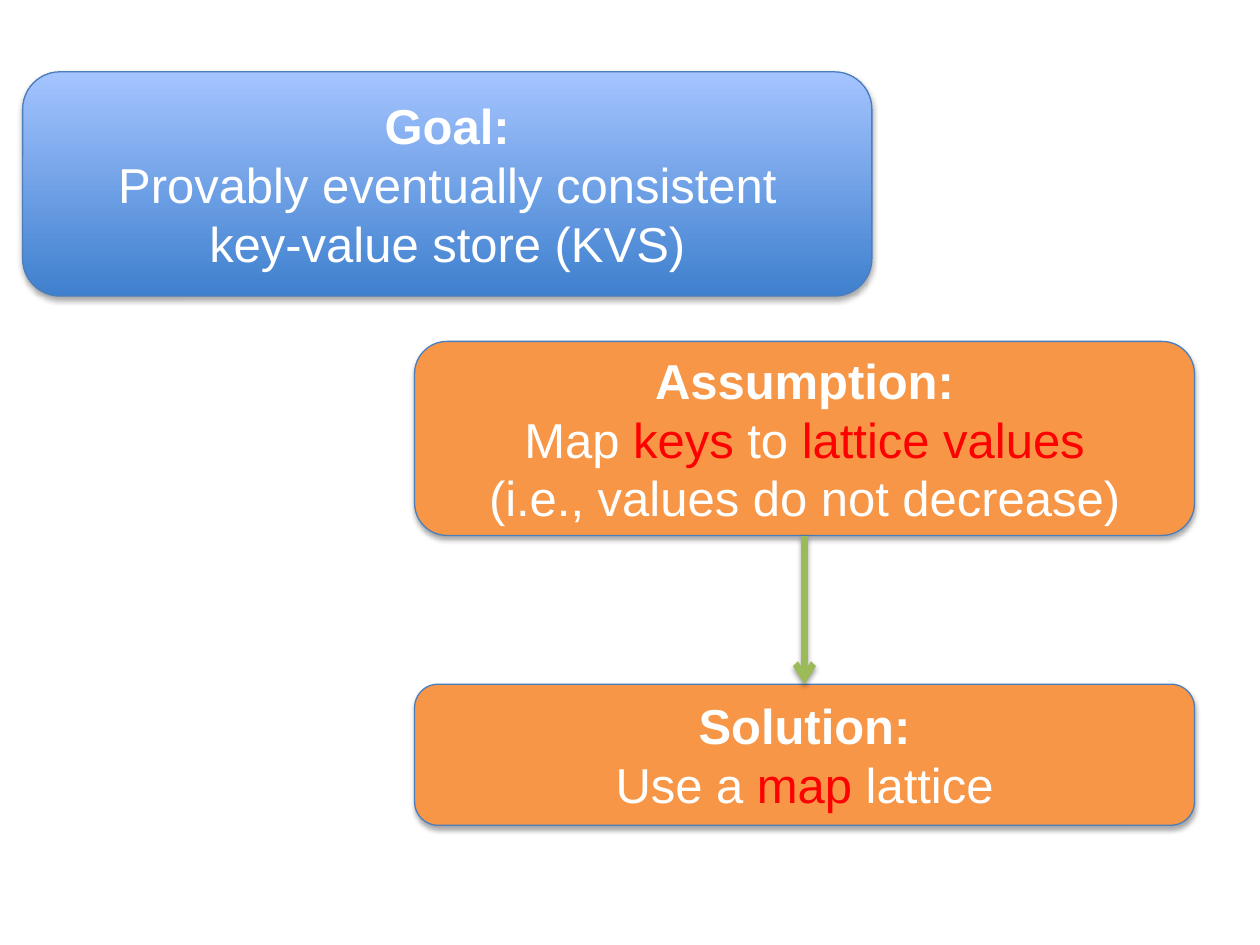
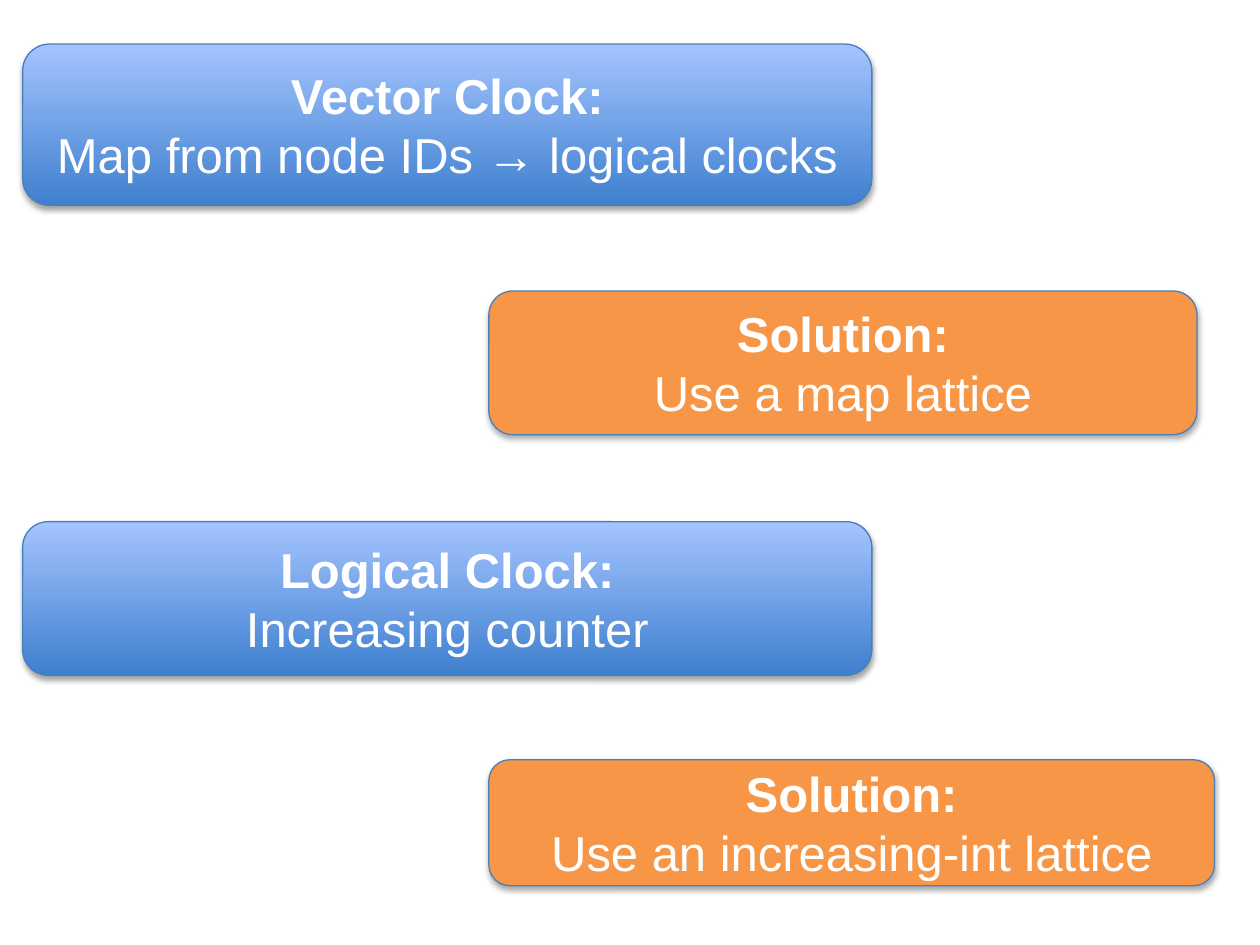
import pptx
import pptx.dml.color
import pptx.enum.shapes
import pptx.enum.text
import pptx.oxml
import pptx.oxml.ns
import pptx.util
from pptx.util import Inches

RGBColor = pptx.dml.color.RGBColor

WHITE = RGBColor(0xFF, 0xFF, 0xFF)
RED = RGBColor(0xFF, 0x00, 0x00)
ORANGE = RGBColor(0xF7, 0x96, 0x46)
GREEN = RGBColor(0x9B, 0xBB, 0x59)
BLUE_DARK = RGBColor(0x3F, 0x80, 0xCE)
BLUE_LIGHT = RGBColor(0xA4, 0xC4, 0xFF)
OUTLINE = RGBColor(0x4B, 0x7E, 0xBC)

TOP_SITE, BOTTOM_SITE = 0, 2


class Deck:
    font_name = "Arial"
    font_size = pptx.util.Pt(28)
    topic_left, topic_width = 0.18, 6.74

    def __init__(self):
        self.prs = pptx.Presentation()
        self.prs.slide_width = Inches(10)
        self.prs.slide_height = Inches(7.5)
        self.slide = None

    def new_slide(self):
        self.slide = self.prs.slides.add_slide(self.prs.slide_layouts[6])

    def add_shadow(self, sp, distance, opacity):
        """Append a soft downward shadow; call after fill and line are set."""
        sp.element.spPr.append(pptx.oxml.parse_xml(
            f'<a:effectLst {pptx.oxml.ns.nsdecls("a")}>'
            f'<a:outerShdw blurRad="{pptx.util.Pt(3.1)}" dist="{pptx.util.Pt(distance)}"'
            ' dir="5400000" rotWithShape="0">'
            f'<a:srgbClr val="000000"><a:alpha val="{opacity * 1000}"/></a:srgbClr>'
            '</a:outerShdw></a:effectLst>'))

    def add_box(self, left, top, width, height, heading, lines):
        """Add a rounded box; a line is a list of strings, every second one red."""
        sp = self.slide.shapes.add_shape(
            pptx.enum.shapes.MSO_SHAPE.ROUNDED_RECTANGLE,
            Inches(left), Inches(top), Inches(width), Inches(height))
        sp.line.color.rgb = OUTLINE
        sp.line.width = pptx.util.Pt(0.75)
        tf = sp.text_frame
        tf.word_wrap = True
        tf.vertical_anchor = pptx.enum.text.MSO_ANCHOR.MIDDLE
        for i, parts in enumerate([[heading], *lines]):
            p = tf.add_paragraph() if i else tf.paragraphs[0]
            p.alignment = pptx.enum.text.PP_ALIGN.CENTER
            p.font.name = self.font_name
            p.font.size = self.font_size
            p.font.bold = i == 0
            for j, text in enumerate(parts):
                r = p.add_run()
                r.text = text
                r.font.color.rgb = RED if j % 2 else WHITE
        return sp

    def topic(self, top, height, heading, *lines):
        sp = self.add_box(self.topic_left, top, self.topic_width, height, heading, lines)
        sp.fill.gradient()
        sp.fill.gradient_angle = 90
        for stop, color in zip(sp.fill.gradient_stops, (BLUE_DARK, BLUE_LIGHT)):
            stop.color.rgb = color
        self.add_shadow(sp, 1.8, 35)

    def answer(self, left, top, width, height, heading, *lines):
        sp = self.add_box(left, top, width, height, heading, lines)
        sp.fill.solid()
        sp.fill.fore_color.rgb = ORANGE
        self.add_shadow(sp, 1.8, 35)
        return sp

    def arrow_down(self, upper, lower):
        line = self.slide.shapes.add_connector(
            pptx.enum.shapes.MSO_CONNECTOR.STRAIGHT, 0, 0, 0, 0)
        line.begin_connect(upper, BOTTOM_SITE)
        line.end_connect(lower, TOP_SITE)
        line.line.color.rgb = GREEN
        line.line.width = pptx.util.Pt(3.75)
        ln = line.element.spPr.find(pptx.oxml.ns.qn("a:ln"))
        ln.append(pptx.oxml.parse_xml(
            f'<a:tailEnd {pptx.oxml.ns.nsdecls("a")} type="arrow"/>'))
        self.add_shadow(line, 1.6, 38)


def add_goal_slide(deck):
    deck.new_slide()
    deck.topic(0.57, 1.78, "Goal:",
               ["Provably eventually consistent"], ["key-value store (KVS)"])
    left, width = 3.29, 6.19
    assumption = deck.answer(left, 2.71, width, 1.54, "Assumption:",
                             ["Map ", "keys", " to ", "lattice values"],
                             ["(i.e., values do not decrease)"])
    solution = deck.answer(left, 5.43, width, 1.12, "Solution:",
                           ["Use a ", "map", " lattice"])
    deck.arrow_down(assumption, solution)


def add_clocks_slide(deck):
    deck.new_slide()
    left = 3.88
    deck.topic(0.35, 1.28, "Vector Clock:", ["Map from node IDs → logical clocks"])
    deck.topic(4.14, 1.22, "Logical Clock:", ["Increasing counter"])
    deck.answer(left, 2.31, 5.62, 1.14, "Solution:", ["Use a map lattice"])
    deck.answer(left, 6.03, 5.76, 1, "Solution:", ["Use an increasing-int lattice"])


def main():
    deck = Deck()
    add_goal_slide(deck)
    add_clocks_slide(deck)
    deck.prs.save("out.pptx")


if __name__ == "__main__":
    main()
